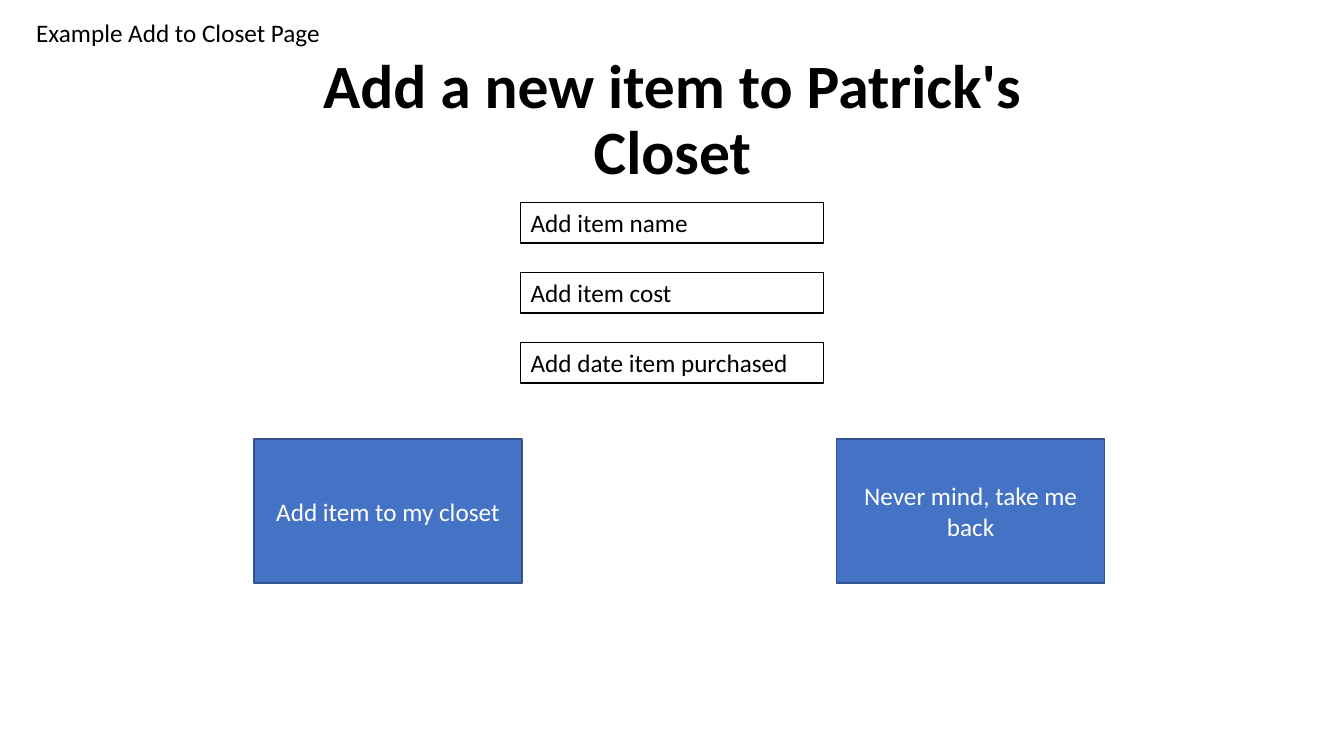
from dataclasses import dataclass

from pptx import Presentation
from pptx.dml.color import RGBColor
from pptx.enum.shapes import MSO_SHAPE
from pptx.enum.text import MSO_ANCHOR, PP_ALIGN
from pptx.util import Pt

RECTANGLE = MSO_SHAPE.RECTANGLE
TOP, MIDDLE = MSO_ANCHOR.TOP, MSO_ANCHOR.MIDDLE
LEFT, CENTER = PP_ALIGN.LEFT, PP_ALIGN.CENTER


@dataclass(frozen=True)
class Theme:
    font: str = "Calibri"
    ink: RGBColor = RGBColor(0x00, 0x00, 0x00)
    button_text: RGBColor = RGBColor(0xFF, 0xFF, 0xFF)
    button_fill: RGBColor = RGBColor(0x44, 0x72, 0xC4)
    button_line: RGBColor = RGBColor(0x32, 0x54, 0x91)
    title_size: float = 44
    body_size: float = 18


class PageBuilder:
    def __init__(self, page, theme):
        self.page = page
        self.theme = theme

    def set_text(self, shape, text, size, color, align=LEFT, anchor=TOP, bold=False):
        frame = shape.text_frame
        frame.text = text
        frame.word_wrap = True
        frame.vertical_anchor = anchor
        para = frame.paragraphs[0]
        para.alignment = align
        font = para.runs[0].font
        font.name = self.theme.font
        font.size = Pt(size)
        font.bold = bold
        font.color.rgb = color
        return para

    def text_box(self, left, top, width, height):
        return self.page.shapes.add_textbox(Pt(left), Pt(top), Pt(width), Pt(height))

    def rectangle(self, left, top, width, height, line_color, line_width):
        shape = self.page.shapes.add_shape(
            RECTANGLE, Pt(left), Pt(top), Pt(width), Pt(height)
        )
        shape.shadow.inherit = False
        shape.line.color.rgb = line_color
        shape.line.width = Pt(line_width)
        return shape

    def title(self, text, left, top, width, height):
        box = self.text_box(left, top, width, height)
        para = self.set_text(
            box, text, self.theme.title_size, self.theme.ink, CENTER, MIDDLE, True
        )
        para.line_spacing = 0.9

    def caption(self, text, left, top, width, height):
        box = self.text_box(left, top, width, height)
        self.set_text(box, text, self.theme.body_size, self.theme.ink)

    def field(self, text, left, top, width, height):
        shape = self.rectangle(left, top, width, height, self.theme.ink, 0.75)
        shape.fill.background()
        self.set_text(shape, text, self.theme.body_size, self.theme.ink)

    def button(self, text, left, top, width, height):
        shape = self.rectangle(left, top, width, height, self.theme.button_line, 1)
        shape.fill.solid()
        shape.fill.fore_color.rgb = self.theme.button_fill
        self.set_text(
            shape, text, self.theme.body_size, self.theme.button_text, CENTER, MIDDLE
        )


def main():
    deck = Presentation()
    deck.slide_width, deck.slide_height = Pt(960), Pt(540)
    page = deck.slides.add_slide(deck.slide_layouts[6])
    builder = PageBuilder(page, Theme())

    builder.title("Add a new item to Patrick's Closet", 171.4, 34.6, 617.8, 104.4)
    builder.caption("Example Add to Closet Page", 18.7, 8.6, 293.8, 29)

    fields = ["Add item name", "Add item cost", "Add date item purchased"]
    for row, text in enumerate(fields):
        builder.field(text, 372, 144.6 + row * 50, 216, 29)

    buttons = [("Add item to my closet", 181.4), ("Never mind, take me back", 597.6)]
    for text, left in buttons:
        builder.button(text, left, 313.5, 191.5, 103)

    deck.save("out.pptx")


if __name__ == "__main__":
    main()
